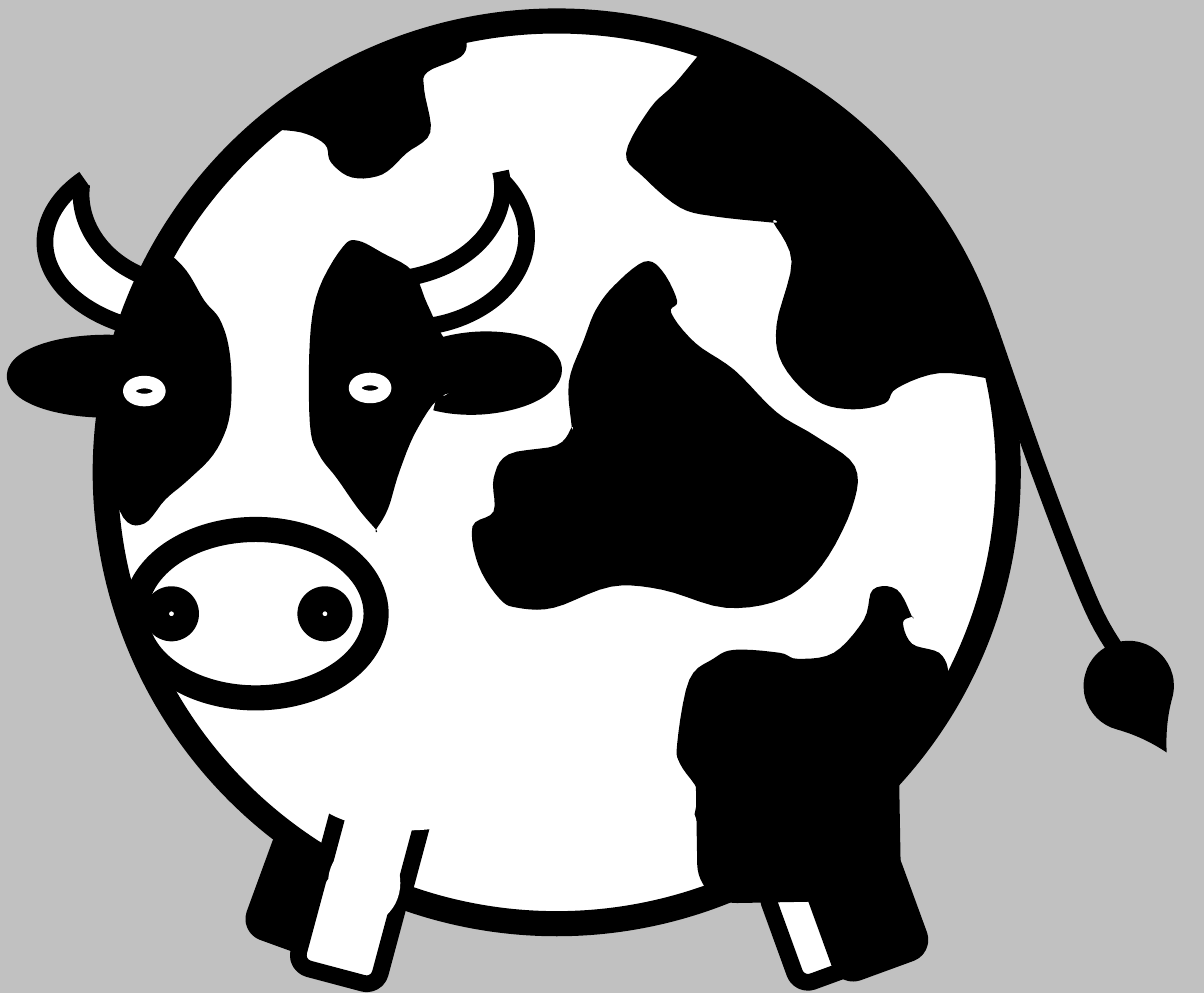
import pptx
import pptx.dml.color
import pptx.enum.shapes
import pptx.util

GREY = pptx.dml.color.RGBColor(0xC1, 0xC1, 0xC1)
BLACK = pptx.dml.color.RGBColor(0, 0, 0)
WHITE = pptx.dml.color.RGBColor(255, 255, 255)
KIND = pptx.enum.shapes.MSO_SHAPE

COLUMNS, ROWS, CELLS_PER_INCH = 400, 330, 100
CURVE_STEPS = 5
CORNER = "corner"

STYLES = {
    "thick white": (WHITE, BLACK, 6),
    "thin white": (WHITE, BLACK, 4),
    "thin black": (BLACK, BLACK, 4),
    "stroke": (None, BLACK, 4),
    "eye": (BLACK, WHITE, 3),
    "plain white": (WHITE, None, 0),
    "plain black": (BLACK, None, 0),
}

FOOT, EYE, NOSTRIL = (28, 34), (10, 6), (10, 10)

HORN_FILL = [
    (49, 94), (39, 88), (34, 84), (30, 74), (28, 63), (25, 63), (17, 75),
    (17, 87), (25, 99), (36, 105), (47, 109, CORNER)]
LEFT_EYE_PATCH = [
    (55, 83, CORNER), (62, 90), (68, 100), (73, 106), (76, 115), (77, 127),
    (76, 140), (71, 151), (62, 160), (55, 166), (48, 174), (41, 172),
    (35, 155), (33, 145), (39, 114)]
RIGHT_EYE_PATCH = [
    (148, 131), (163, 131), (170, 124), (154, 116), (148, 113), (142, 101),
    (137, 90), (127, 84), (119, 80), (114, 82), (106, 96), (103, 113),
    (103, 141), (106, 151), (112, 159), (119, 169), (125, 176, CORNER),
    (129, 169), (133, 156), (139, 142)]
FOREHEAD_PATCH = [
    (88, 43, CORNER), (100, 44), (108, 48), (110, 54), (117, 59), (127, 58),
    (135, 51), (143, 44), (141, 30), (142, 24), (153, 19), (155, 14),
    (152, 10), (136, 14), (117, 26), (102, 33)]
RUMP_PATCH = [
    (234, 16, CORNER), (224, 28), (216, 36), (208, 51), (214, 59), (226, 69),
    (238, 72), (257, 74, CORNER), (263, 87), (258, 108), (260, 121),
    (271, 133), (283, 136), (294, 134), (298, 129), (312, 124),
    (330, 126, CORNER), (316, 85), (288, 47), (242, 16, CORNER)]
FLANK_PATCH = [
    (185, 148), (169, 151), (164, 159), (164, 170), (157, 175), (159, 188),
    (166, 199), (172, 202), (184, 202), (203, 195), (220, 196), (241, 202),
    (260, 199), (273, 188), (283, 169), (284, 155), (271, 145), (258, 137),
    (244, 123), (231, 114), (223, 104), (225, 100), (220, 90), (214, 87),
    (204, 95), (198, 103), (194, 113), (189, 127), (190, 142, CORNER)]
HIP_PATCH = [
    (235, 275), (232, 263), (226, 254), (225, 247), (229, 226), (237, 219),
    (244, 216), (259, 217), (265, 219), (277, 217), (287, 206), (290, 196),
    (298, 196), (303, 205, CORNER), (300, 207), (303, 214), (312, 217),
    (315, 223), (313, 229, CORNER), (282, 279, CORNER)]
TAIL = [(329, 110), (344, 153), (358, 190), (366, 208), (375, 222)]

COW = {
    "far legs": [
        ("leg", (259, 290, *FOOT), "thin white", {"turn": 340}),
        ("leg", (88, 280, *FOOT), "thin black", {"turn": 20})],
    "left horn": [
        ("patch", HORN_FILL, "plain white", {}),
        ("arc", (15, 50, 94, 61), "stroke", {"flip": "HV", "angles": (306, 31.8)}),
        ("arc", (27, 34, 74, 61), "stroke", {"flip": "HV", "angles": (288.3, 4.85)})],
    "body": [("oval", (35, 7, 300, 300), "thick white", {})],
    "muzzle": [
        ("oval", (45, 176, 80, 56), "thick white", {}),
        ("oval", (52, 199, *NOSTRIL), "thick white", {}),
        ("oval", (103, 199, *NOSTRIL), "thick white", {})],
    "right eye": [
        ("patch", RIGHT_EYE_PATCH, "plain black", {}),
        ("oval", (118, 126, *EYE), "eye", {})],
    "right horn": [
        ("arc", (95, 48, 80, 61), "stroke", {"flip": "V", "angles": (287.4, 31.8)}),
        ("arc", (87, 32, 80, 61), "stroke", {"flip": "V", "angles": (278.8, 7.95)})],
    "right ear": [
        ("arc", (134, 113, 50, 22), "thin black",
         {"turn": 356.8, "flip": "H", "angles": (30.7, 329.3)})],
    "coat": [
        ("patch", RUMP_PATCH, "plain black", {}),
        ("patch", FLANK_PATCH, "plain black", {}),
        ("patch", FOREHEAD_PATCH, "plain black", {})],
    "tail": [
        ("strand", TAIL, "stroke", {}),
        ("tuft", (360, 213, 30, 30), "plain black", {"turn": 105.3, "point": 1.2})],
    "near hind leg": [
        ("leg", (234, 229, 62, 68), "thin black", {"turn": 359}),
        ("leg", (274, 287, *FOOT), "thin black", {"turn": 340})],
    "near front leg": [
        ("leg", (110, 261, 28, 39), "thin white", {"turn": 15}),
        ("leg", (102, 291, *FOOT), "thin white", {"turn": 15}),
        ("oval", (102, 246, 67, 30), "plain white", {}),
        ("oval", (109, 280, 24, 27), "plain white", {})],
    "hip": [("patch", HIP_PATCH, "plain black", {})],
    "left ear": [
        ("arc", (5, 114, 61, 22), "thin black", {"angles": (48.1, 334.5)})],
    "left eye": [
        ("patch", LEFT_EYE_PATCH, "plain black", {}),
        ("oval", (43, 127, *EYE), "eye", {})],
}

PRESETS = {"leg": KIND.ROUNDED_RECTANGLE, "arc": KIND.ARC,
           "oval": KIND.OVAL, "tuft": KIND.TEAR}


def cells(count):
    return pptx.util.Inches(count / CELLS_PER_INCH)


def paint(part, style):
    fill, line, weight = STYLES[style]
    part.shadow.inherit = False
    if fill is None:
        part.fill.background()
    else:
        part.fill.solid()
        part.fill.fore_color.rgb = fill
    if line is None:
        part.line.fill.background()
    else:
        part.line.color.rgb = line
        part.line.width = pptx.util.Pt(weight)


def add_preset(slide, kind, box, turn=0, flip="", angles=(), point=None):
    part = slide.shapes.add_shape(PRESETS[kind], *map(cells, box))
    part.rotation = turn
    for axis in flip:
        part._element.spPr.xfrm.set("flip" + axis, "1")
    for index, degrees in enumerate(angles):
        part.adjustments[index] = degrees * 60000 / 100000
    if point is not None:
        part.adjustments[0] = point
    return part


def between(before, start, end, after, t):
    return tuple(
        b + (c - a) * t / 2 + (2 * a - 5 * b + 4 * c - d) * t ** 2 / 2
        + (3 * b - a - 3 * c + d) * t ** 3 / 2
        for a, b, c, d in zip(before, start, end, after))


def smooth(points, closed):
    knots = []
    for x, y, *corner in points:
        knots += [(x, y)] * (2 if corner else 1)
    if closed:
        guide = [knots[-1], *knots, *knots[:2]]
    else:
        guide = [knots[0], *knots, knots[-1]]
    curve = [between(*guide[first:first + 4], step / CURVE_STEPS)
             for first in range(len(guide) - 3) for step in range(CURVE_STEPS)]
    return curve if closed else curve + [knots[-1]]


def add_outline(slide, points, closed):
    start, *rest = [(cells(x), cells(y)) for x, y in smooth(points, closed)]
    builder = slide.shapes.build_freeform(*start, scale=1.0)
    builder.add_line_segments(rest, close=closed)
    return builder.convert_to_shape()


def main():
    deck = pptx.Presentation()
    deck.slide_width, deck.slide_height = cells(COLUMNS), cells(ROWS)
    slide = deck.slides.add_slide(deck.slide_layouts[6])
    slide.background.fill.solid()
    slide.background.fill.fore_color.rgb = GREY
    for parts in COW.values():
        for kind, geometry, style, options in parts:
            if kind in PRESETS:
                part = add_preset(slide, kind, geometry, **options)
            else:
                part = add_outline(slide, geometry, closed=kind == "patch")
            paint(part, style)
    deck.save("out.pptx")


if __name__ == "__main__":
    main()
